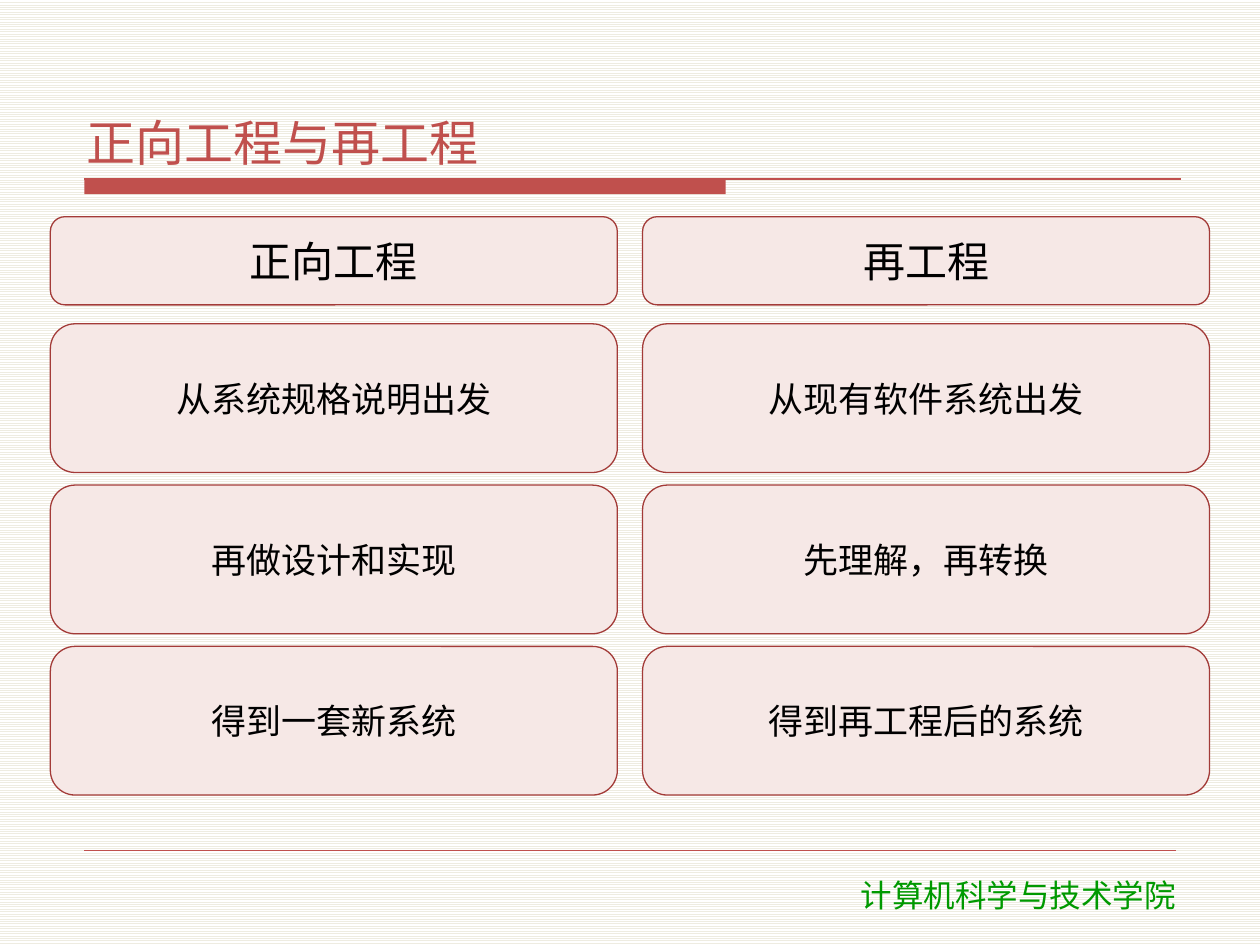
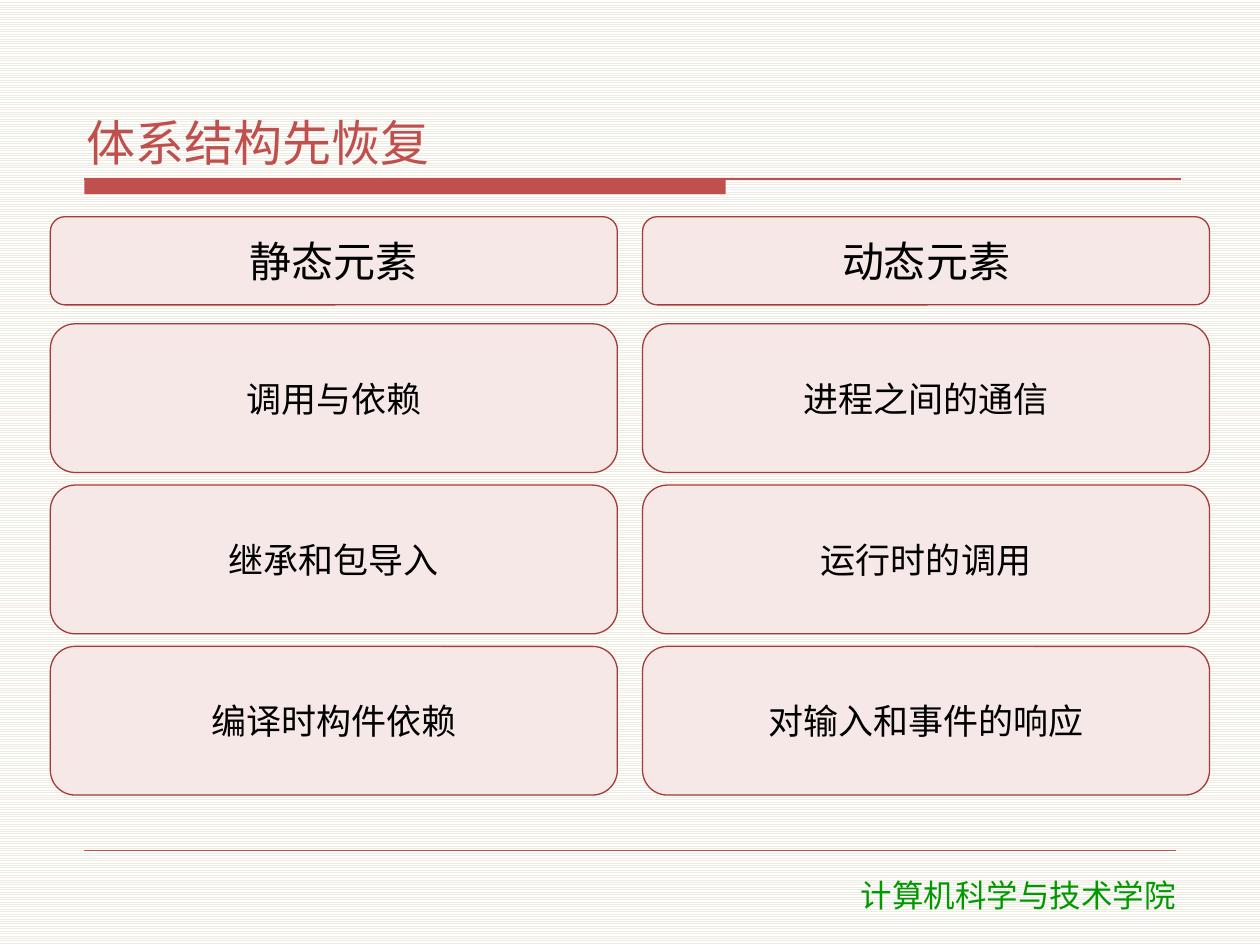
"""Build two comparison slides that share a title rule, a footer and a card grid."""
from lxml import etree
from pptx import Presentation
from pptx.dml.color import RGBColor
from pptx.enum.dml import MSO_PATTERN
from pptx.enum.shapes import MSO_CONNECTOR, MSO_SHAPE
from pptx.enum.text import MSO_ANCHOR, MSO_AUTO_SIZE, PP_ALIGN
from pptx.oxml.ns import qn
from pptx.util import Inches, Pt

RECTANGLE, ROUNDED = MSO_SHAPE.RECTANGLE, MSO_SHAPE.ROUNDED_RECTANGLE
STRAIGHT = MSO_CONNECTOR.STRAIGHT
LEFT, CENTER = PP_ALIGN.LEFT, PP_ALIGN.CENTER
MIDDLE, BOTTOM = MSO_ANCHOR.MIDDLE, MSO_ANCHOR.BOTTOM

COLORS = {name: RGBColor.from_string(value) for name, value in {
    "accent": "C0504D", "card": "F6E8E6", "border": "A33B38", "text": "000000",
    "footer": "009900", "stripe": "EEECE1", "paper": "FFFFFF"}.items()}
FONT, FOOTER_FONT = "Noto Sans CJK SC", "DejaVu Sans"
FOOTER = "计算机科学与技术学院"

MARGIN, COLUMN_WIDTH, COLUMN_GAP = 0.4, 4.5, 0.2
HEADER_TOP, HEADER_HEIGHT = 1.72, 0.7
BODY_TOP, BODY_HEIGHT, BODY_GAP = 2.57, 1.18, 0.1
RULE_LEFT, RULE_TOP, FOOTER_TOP = 0.67, 1.42, 6.75

SLIDES = [
    ("正向工程与再工程", [
        ("正向工程", "再工程"),
        ("从系统规格说明出发", "从现有软件系统出发"),
        ("再做设计和实现", "先理解，再转换"),
        ("得到一套新系统", "得到再工程后的系统")]),
    ("体系结构先恢复", [
        ("静态元素", "动态元素"),
        ("调用与依赖", "进程之间的通信"),
        ("继承和包导入", "运行时的调用"),
        ("编译时构件依赖", "对输入和事件的响应")]),
]


def write_text(shape, text, size, color, alignment, anchor, font_name=FONT):
    """Fill a shape with one formatted paragraph."""
    frame = shape.text_frame
    frame.text = text
    frame.word_wrap = True
    frame.auto_size = MSO_AUTO_SIZE.NONE
    frame.vertical_anchor = anchor
    frame.margin_left = frame.margin_right = Inches(0.06)
    frame.margin_top = frame.margin_bottom = Inches(0.02)
    paragraph = frame.paragraphs[0]
    paragraph.alignment = alignment
    paragraph.space_after = Pt(2)
    font = paragraph.font
    font.size, font.name = Pt(size), font_name
    font.color.rgb = COLORS[color]
    properties = paragraph._p.pPr.find(qn("a:defRPr"))
    etree.SubElement(properties, qn("a:ea"), typeface=font_name)


presentation = Presentation()
presentation.slide_width, presentation.slide_height = Inches(10), Inches(7.5)
background = presentation.slide_master.background.fill
background.patterned()
background.pattern = MSO_PATTERN.LIGHT_HORIZONTAL
background.fore_color.rgb = COLORS["stripe"]
background.back_color.rgb = COLORS["paper"]

layout = presentation.slide_layouts.get_by_name("Title Only")
for placeholder in list(layout.placeholders)[1:]:
    placeholder._element.getparent().remove(placeholder._element)
slides = [presentation.slides.add_slide(layout) for _ in SLIDES]

shapes = slides[0].shapes
title_bar = shapes.add_shape(RECTANGLE, Inches(RULE_LEFT), Inches(RULE_TOP),
                             Inches(5.09), Inches(0.12))
title_bar.shadow.inherit = False
title_bar.fill.solid()
title_bar.fill.fore_color.rgb = COLORS["accent"]
title_bar.line.fill.background()
shared_shapes = [title_bar]

for top, right, weight in [(RULE_TOP, 9.37, 0.75), (FOOTER_TOP, 9.33, 0.25)]:
    rule = shapes.add_connector(STRAIGHT, Inches(RULE_LEFT), Inches(top),
                                Inches(right), Inches(top))
    rule.line.color.rgb = COLORS["accent"]
    rule.line.width = Pt(weight)
    etree.SubElement(rule._element.spPr, qn("a:effectLst"))
    shared_shapes.append(rule)

footer = shapes.add_textbox(Inches(6.07), Inches(6.9), Inches(4.02), Inches(0.4))
write_text(footer, FOOTER, 18, "footer", CENTER, MIDDLE, FOOTER_FONT)
shared_shapes.append(footer)
for shape in shared_shapes:
    layout.shapes._spTree.append(shape._element)

for slide, (heading, rows) in zip(slides, SLIDES):
    title = slide.shapes.title
    title.left, title.top = Inches(0.63), Inches(0.33)
    title.width, title.height = Inches(8.75), Inches(1.05)
    write_text(title, heading, 28, "accent", LEFT, BOTTOM)

    for row_index, row in enumerate(rows):
        if row_index == 0:
            top, height, size = HEADER_TOP, HEADER_HEIGHT, 24
        else:
            top = BODY_TOP + (row_index - 1) * (BODY_HEIGHT + BODY_GAP)
            height, size = BODY_HEIGHT, 20
        for column_index, text in enumerate(row):
            left = MARGIN + column_index * (COLUMN_WIDTH + COLUMN_GAP)
            card = slide.shapes.add_shape(ROUNDED, Inches(left), Inches(top),
                                          Inches(COLUMN_WIDTH), Inches(height))
            card.shadow.inherit = False
            card.fill.solid()
            card.fill.fore_color.rgb = COLORS["card"]
            card.line.color.rgb = COLORS["border"]
            card.line.width = Pt(0.75)
            write_text(card, text, size, "text", CENTER, MIDDLE)

presentation.save("out.pptx")
